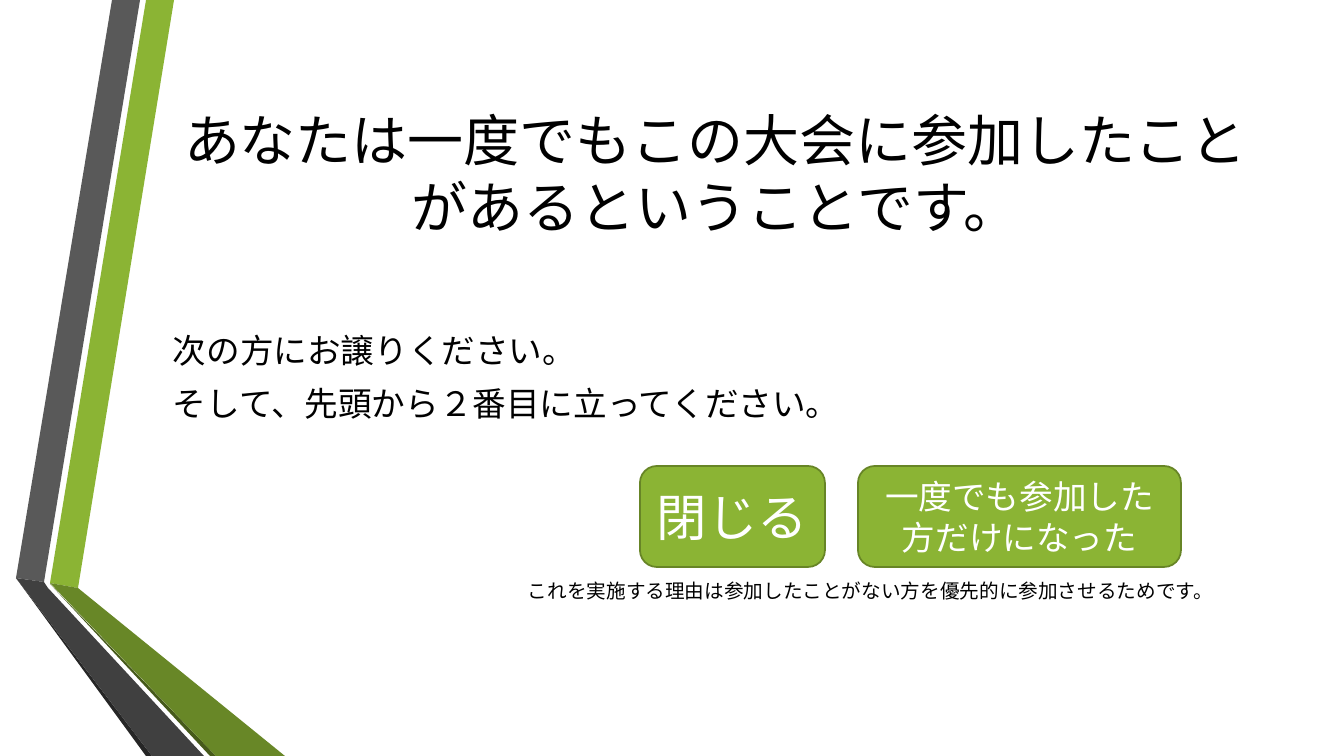
from lxml import etree
from pptx import Presentation
from pptx import util as u
from pptx.dml.color import RGBColor
from pptx.enum import shapes, text
from pptx.oxml.ns import qn

PX = 914400 / 100.8
FONT = "Cabin"
GREEN = "8BB434"


def px(n):
    """Turn pixels into EMU."""
    return u.Emu(round(n * PX))


def rgb(value):
    """Turn a hex string into a colour."""
    return RGBColor.from_string(value)


def place(sp, box):
    """Move and size a shape to a pixel box."""
    sp.left, sp.top, sp.width, sp.height = map(px, box)


def add_run(p, words, size, color):
    """Add one formatted run to a paragraph."""
    r = p.add_run()
    r.text = words
    r.font.size = u.Pt(size)
    r.font.name = FONT
    r.font.color.rgb = rgb(color)
    etree.SubElement(r.font._element, qn("a:ea"), typeface=FONT)


def setup_frame(sp):
    """Give a shape a wrapping, vertically centred text frame."""
    tf = sp.text_frame
    tf.word_wrap = True
    tf.auto_size = text.MSO_AUTO_SIZE.NONE
    tf.vertical_anchor = text.MSO_ANCHOR.MIDDLE
    return tf


def add_ribbon(s, left, top):
    """Draw the folded ribbon bands relative to a corner."""
    bands = [
        (GREEN, [(50, 583), (78, 588), (174, 0), (146, 0)]),
        ("595959", [(140, 0), (112, 0), (16, 578), (44, 582)]),
        ("262626", [(16, 578), (146, 756), (152, 756)]),
        ("465A1A", [(50, 584), (210, 756), (216, 756)]),
        ("688727", [(50, 583), (216, 756), (285, 756), (78, 588)]),
        ("404040", [(16, 578), (152, 756), (204, 756), (48, 588), (44, 582)]),
    ]
    for color, points in bands:
        start, *rest = [(left + x, top + y) for x, y in points]
        builder = s.shapes.build_freeform(*start, scale=PX)
        builder.add_line_segments(rest, close=True)
        sp = builder.convert_to_shape()
        sp.shadow.inherit = False
        sp.fill.solid()
        sp.fill.fore_color.rgb = rgb(color)
        sp.line.fill.background()


def add_title(s, box, words):
    """Place and fill the title placeholder."""
    sp = s.shapes.title
    place(sp, box)
    p = setup_frame(sp).paragraphs[0]
    p.alignment = text.PP_ALIGN.CENTER
    add_run(p, words, 40, "000000")


def add_body(s, box, lines):
    """Add the instructions and the indented note below them."""
    tf = setup_frame(s.shapes.add_textbox(*map(px, box)))
    for i, (words, size, before, indent) in enumerate(lines):
        p = tf.add_paragraph() if i else tf.paragraphs[0]
        p.space_before, p.space_after = u.Pt(before), u.Pt(6)
        p._p.get_or_add_pPr().set("marL", str(px(indent)))
        add_run(p, words, size, "000000")


def add_buttons(s, left, top, height, gap, buttons):
    """Lay out rounded buttons in a row with equal gaps."""
    for words, width, size in buttons:
        box = map(px, (left, top, width, height))
        sp = s.shapes.add_shape(shapes.MSO_SHAPE.ROUNDED_RECTANGLE, *box)
        sp.shadow.inherit = False
        sp.fill.solid()
        sp.fill.fore_color.rgb = rgb(GREEN)
        sp.line.color.rgb = rgb("678526")
        sp.line.width = u.Pt(1.25)
        p = setup_frame(sp).paragraphs[0]
        p.alignment = text.PP_ALIGN.CENTER
        add_run(p, words, size, "FFFFFF")
        left += width + gap


def build_slide(prs):
    """Build the slide asking past participants to give way."""
    s = prs.slides.add_slide(prs.slide_layouts[5])
    add_ribbon(s, 0, 0)
    add_title(s, (163, 76, 1105, 193),
              "あなたは一度でもこの大会に参加したことがあるということです。")
    add_body(s, (163, 294, 1105, 345), [
        ("次の方にお譲りください。", 24, 3, 0),
        ("そして、先頭から２番目に立ってください。", 24, 3, 0),
        ("これを実施する理由は参加したことがない方を優先的に参加させるためです。",
         14, 105, 355),
    ])
    add_buttons(s, 640, 466, 101, 33, [
        ("閉じる", 185, 36),
        ("一度でも参加した方だけになった", 323, 24),
    ])


prs = Presentation()
prs.slide_width, prs.slide_height = px(1344), px(756)
build_slide(prs)
prs.save("out.pptx")
